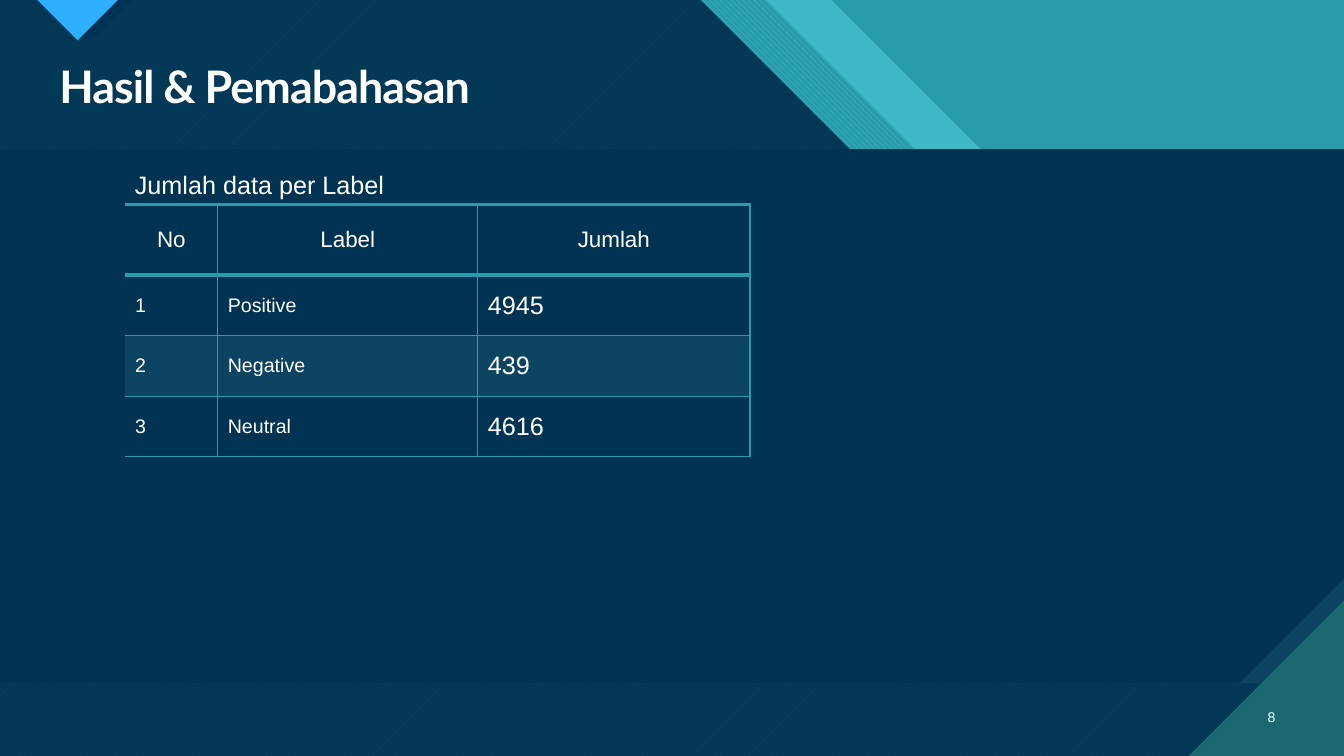
"""Build the results slide with its table of data counts per label."""
from dataclasses import dataclass
from typing import Optional

from lxml.etree import SubElement
from pptx import Presentation
from pptx.dml.color import RGBColor
from pptx.enum.dml import MSO_PATTERN as Pattern
from pptx.enum.text import MSO_ANCHOR as Anchor, MSO_AUTO_SIZE as AutoSize, PP_ALIGN as Align
from pptx.oxml.ns import qn
from pptx.util import Inches, Pt

COLUMNS, ROWS = 40, 22.5
MODULE = Inches(1) / 3


@dataclass(frozen=True)
class Theme:
    navy: str = "003352"
    steel: str = "0C4360"
    teal: str = "299CAB"
    aqua: str = "47C3D3"
    pine: str = "1B6872"
    blue: str = "2FAFFF"
    white: str = "FFFFFF"
    heading_font: str = "Lato"
    body_font: str = "Arial"
    title: float = 32
    large: float = 18
    header: float = 16
    body: float = 14
    small: float = 10
    thick: float = 3
    thin: float = 1


@dataclass(frozen=True)
class Area:
    points: tuple
    color: str
    alpha: int = 100
    pattern: Optional[Pattern] = None
    back: str = ""


@dataclass(frozen=True)
class Caption:
    text: str
    box: tuple
    size: float
    align: Align
    anchor: Anchor
    wrap: bool


@dataclass(frozen=True)
class TableColumn:
    heading: str
    width: float
    size: float
    values: tuple


THEME = Theme()
PANEL_TOP, PANEL_BOTTOM = 4.44, 20.34
SNIP, CORNER = 3.13, 4.62
TABLE_LEFT, TABLE_TOP = 3.72, 6.09
ROW_HEIGHTS = (2.1, 1.8, 1.8, 1.8)


def diagonal(start: float) -> tuple:
    """Outline the slide left of a 45 degree edge that begins at the top."""
    return ((0, 0), (start, 0), (COLUMNS, COLUMNS - start), (COLUMNS, ROWS), (0, ROWS))


def marker(left: float, right: float) -> tuple:
    """Outline a triangle that hangs from the top edge."""
    half = (right - left) / 2
    return ((left, 0), (right, 0), (left + half, half))


def panel(snip: float) -> tuple:
    """Outline the content panel with its lower right corner cut off."""
    return ((0, PANEL_TOP), (COLUMNS, PANEL_TOP), (COLUMNS, PANEL_BOTTOM - snip),
            (COLUMNS - snip, PANEL_BOTTOM), (0, PANEL_BOTTOM))


AREAS = (
    Area(((0, 0), (COLUMNS, 0), (COLUMNS, ROWS), (0, ROWS)), THEME.teal),
    Area(diagonal(24.75), THEME.aqua, alpha=74),
    Area(diagonal(22.8), THEME.aqua, pattern=Pattern.WIDE_DOWNWARD_DIAGONAL, back=THEME.teal),
    Area(diagonal(20.85), THEME.aqua, pattern=Pattern.WIDE_UPWARD_DIAGONAL, back=THEME.pine),
    Area(diagonal(20.85), THEME.navy, alpha=90),
    Area(marker(1.44, 3.92), THEME.navy),
    Area(marker(1.11, 3.51), THEME.blue),
    Area(panel(0), THEME.steel),
    Area(panel(SNIP), THEME.navy),
    Area(((COLUMNS - CORNER, ROWS), (COLUMNS, ROWS), (COLUMNS, ROWS - CORNER)), THEME.pine),
)
CAPTIONS = (
    Caption("8", (36.93, 20.73, 1.32, 1.2), THEME.small, Align.RIGHT, Anchor.MIDDLE, True),
    Caption("Jumlah data per Label", (TABLE_LEFT, 4.89, 8.1, 1.2), THEME.large,
            Align.LEFT, Anchor.TOP, False),
)
TABLE_COLUMNS = (
    TableColumn("No", 2.76, THEME.body, ("1", "2", "3")),
    TableColumn("Label", 7.74, THEME.body, ("Positive", "Negative", "Neutral")),
    TableColumn("Jumlah", 8.1, THEME.large, ("4945", "439", "4616")),
)


def grid(units: float) -> int:
    """Convert grid units to slide lengths."""
    return round(units * MODULE)


def rgb(code: str) -> RGBColor:
    """Turn a hex code into a colour."""
    return RGBColor.from_string(code)


def add_run(paragraph, text: str, size: float, font: str = THEME.body_font):
    """Add one white run to a paragraph."""
    run = paragraph.add_run()
    run.text = text
    run.font.size, run.font.name = Pt(size), font
    run.font.color.rgb = rgb(THEME.white)
    return run


def draw_area(slide, area: Area) -> None:
    """Draw one background area."""
    first, *rest = [(grid(x), grid(y)) for x, y in area.points]
    builder = slide.shapes.build_freeform(*first)
    builder.add_line_segments(rest, close=True)
    shape = builder.convert_to_shape()
    shape.shadow.inherit = False
    shape.line.fill.background()
    if area.pattern is None:
        shape.fill.solid()
        shape.fill.fore_color.rgb = rgb(area.color)
    else:
        shape.fill.patterned()
        shape.fill.pattern = area.pattern
        shape.fill.fore_color.rgb = rgb(area.color)
        shape.fill.back_color.rgb = rgb(area.back)
    if area.alpha < 100:
        color = next(shape.element.iter(qn("a:srgbClr")))
        SubElement(color, qn("a:alpha"), val=str(area.alpha * 1000))


def draw_title(slide, text: str) -> None:
    """Place and format the title above the background."""
    title = slide.shapes.title
    title.element.getparent().append(title.element)
    title.left, title.top, title.width, title.height = map(grid, (1.47, 1.77, 36.78, 1.77))
    frame = title.text_frame
    frame.word_wrap, frame.auto_size = True, AutoSize.SHAPE_TO_FIT_TEXT
    frame.vertical_anchor = Anchor.MIDDLE
    paragraph = frame.paragraphs[0]
    paragraph.alignment, paragraph.line_spacing = Align.LEFT, 0.9
    run = add_run(paragraph, text, THEME.title, THEME.heading_font)
    run.font.bold = True
    run.font._element.set("spc", "-70")


def draw_caption(slide, caption: Caption) -> None:
    """Write one line of text outside the table."""
    frame = slide.shapes.add_textbox(*map(grid, caption.box)).text_frame
    frame.word_wrap, frame.vertical_anchor = caption.wrap, caption.anchor
    frame.paragraphs[0].alignment = caption.align
    add_run(frame.paragraphs[0], caption.text, caption.size)


def draw_border(cell, side: str, width: float) -> None:
    """Draw one edge of a cell, or clear it when the width is zero."""
    edge = SubElement(cell._tc.get_or_add_tcPr(), qn(f"a:ln{side}"), w=str(Pt(width)))
    if width:
        fill = SubElement(edge, qn("a:solidFill"))
        SubElement(fill, qn("a:srgbClr"), val=THEME.teal)
    else:
        SubElement(edge, qn("a:noFill"))


def draw_cell(cell, row: int, number: int, column: TableColumn) -> None:
    """Fill, border and write one table cell."""
    heading = row == 0
    widths = {"L": THEME.thin if number else 0, "R": THEME.thin,
              "T": THEME.thick if row < 2 else THEME.thin,
              "B": THEME.thick if heading else THEME.thin}
    for side, width in widths.items():
        draw_border(cell, side, width)
    if row == 2:
        cell.fill.solid()
        cell.fill.fore_color.rgb = rgb(THEME.steel)
    else:
        cell.fill.background()
    cell.vertical_anchor = Anchor.MIDDLE
    paragraph = cell.text_frame.paragraphs[0]
    paragraph.alignment = Align.CENTER if heading else Align.LEFT
    text = column.heading if heading else column.values[row - 1]
    add_run(paragraph, text, THEME.header if heading else column.size)


def draw_table(slide) -> None:
    """Draw the table of counts per label."""
    size = (sum(column.width for column in TABLE_COLUMNS), sum(ROW_HEIGHTS))
    counts = slide.shapes.add_table(len(ROW_HEIGHTS), len(TABLE_COLUMNS),
                                    *map(grid, (TABLE_LEFT, TABLE_TOP, *size))).table
    counts.first_row = counts.horz_banding = False
    for row, height in enumerate(ROW_HEIGHTS):
        counts.rows[row].height = grid(height)
    for number, column in enumerate(TABLE_COLUMNS):
        counts.columns[number].width = grid(column.width)
        for row in range(len(ROW_HEIGHTS)):
            draw_cell(counts.cell(row, number), row, number, column)


def main() -> None:
    """Build and save the slide."""
    deck = Presentation()
    deck.slide_width, deck.slide_height = grid(COLUMNS), grid(ROWS)
    slide = deck.slides.add_slide(deck.slide_layouts[5])
    for area in AREAS:
        draw_area(slide, area)
    draw_title(slide, "Hasil & Pemabahasan")
    draw_table(slide)
    for caption in CAPTIONS:
        draw_caption(slide, caption)
    deck.save("out.pptx")


if __name__ == "__main__":
    main()
